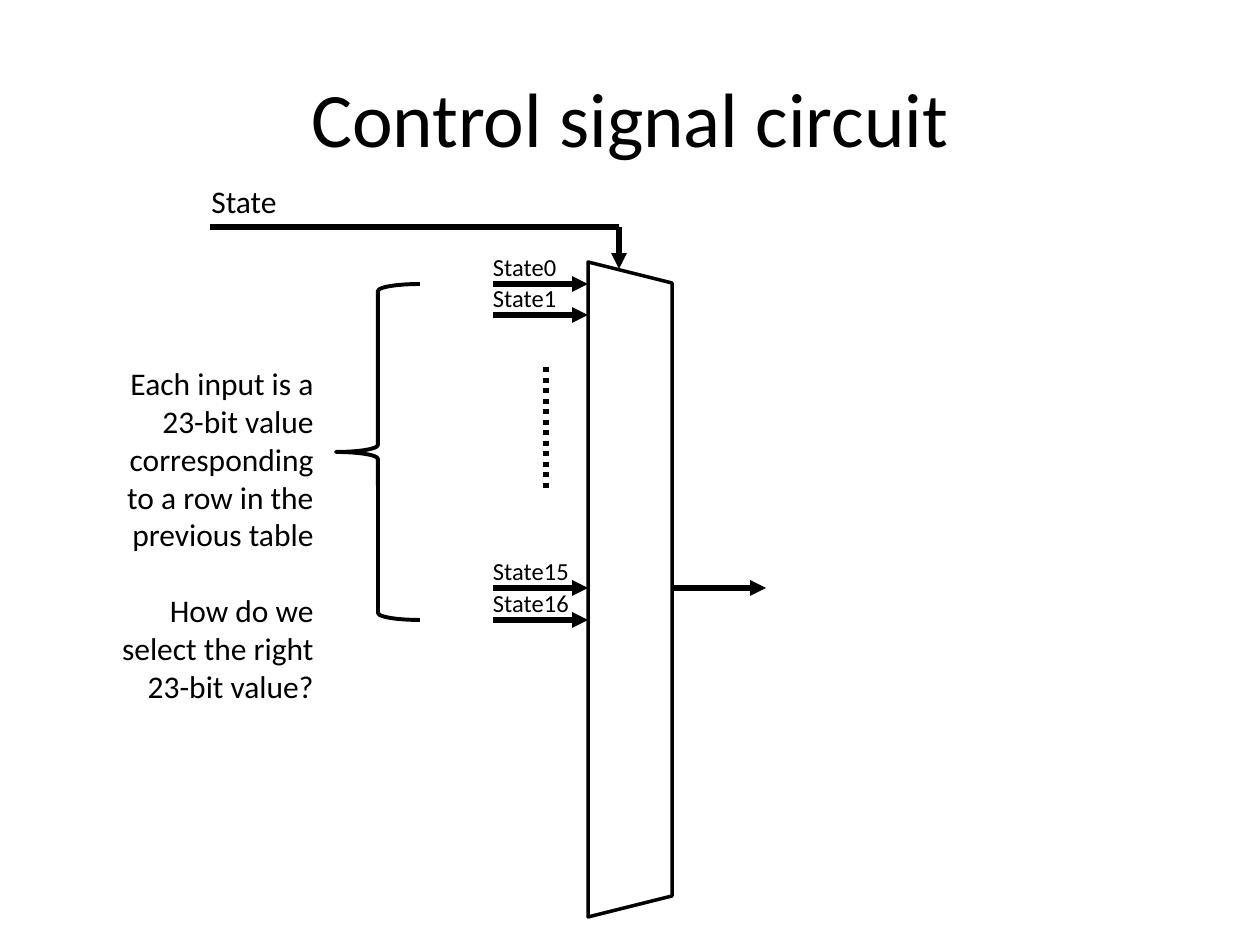
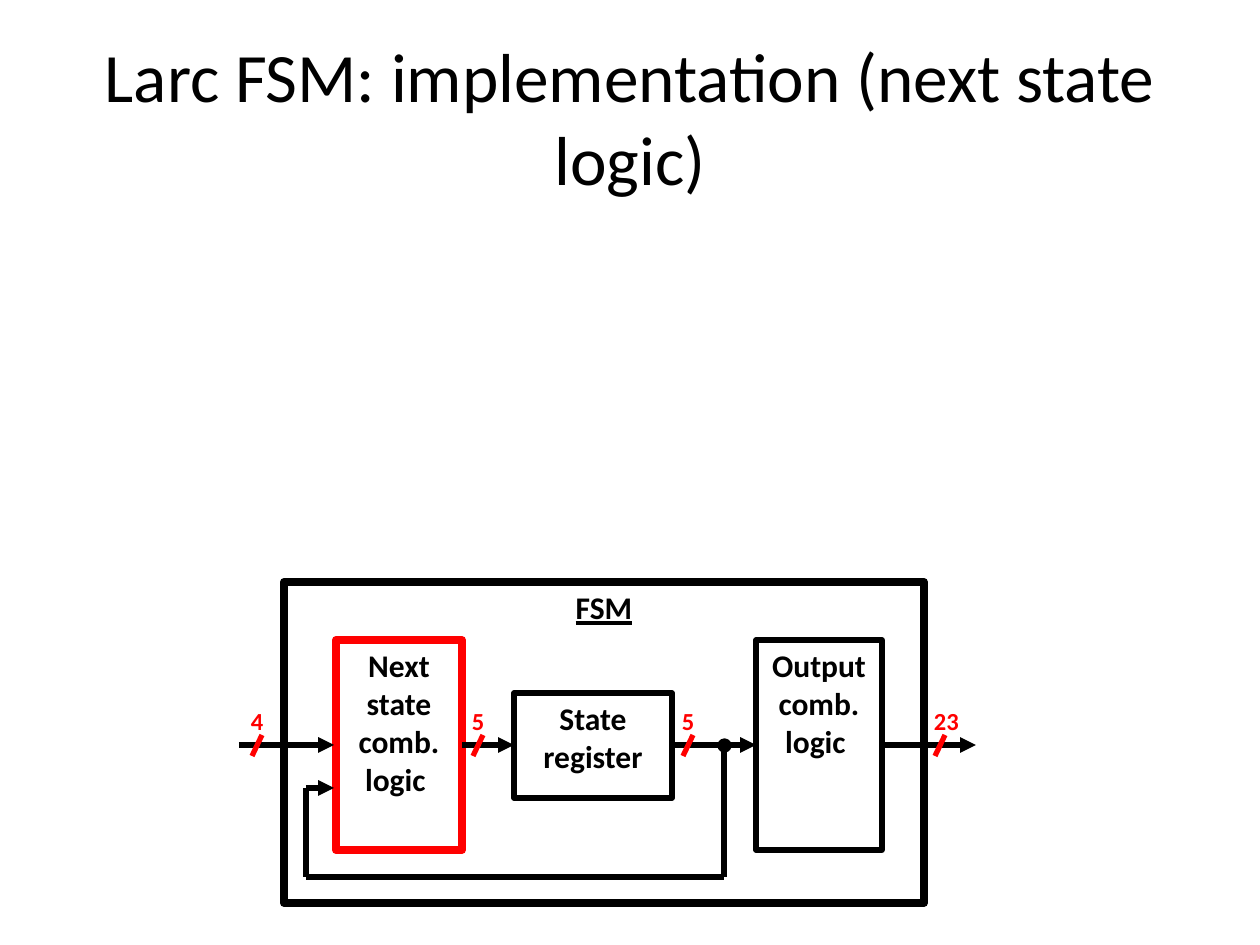
"""Builds two slides: the control signal multiplexer and the FSM block diagram."""
from lxml import etree
from pptx import Presentation
from pptx import util as u
from pptx.dml.color import RGBColor
from pptx.enum import dml, shapes, text
from pptx.oxml import ns

FONT = "Calibri"
BLACK, RED = "000000", "FF0000"
EMU_PER_PX = 914400 / 126
SLIDE_SIZE = (1260, 945)
TITLE_BOX = (63, 38, 1134, 157)

MUX_TITLE = ("Control signal circuit", 44)
MUX_INPUTS = [("State0", 284), ("State1", 315), ("State15", 588), ("State16", 620)]
MUX_NOTES = [
    "Each input is a 23-bit value corresponding to a row in the previous table",
    "How do we select the right 23-bit value?",
]
INPUT_LEFT, MUX_LEFT, MUX_RIGHT, OUTPUT_RIGHT = 493, 588, 672, 766
MUX_TOP, MUX_HEIGHT = 262, 655
SELECT_X, SELECT_Y = 619, 227

FSM_TITLE = ("Larc FSM: implementation (next state logic)", 39.6)
FSM_BLOCKS = [
    ("FSM", (284, 582, 640, 321), BLACK, 4.5, True),
    ("Next state comb. logic ", (336, 640, 126, 210), RED, 4.5, False),
    ("Output comb. logic ", (756, 640, 126, 210), BLACK, 3, False),
    ("State register", (514, 693, 158, 105), BLACK, 3, False),
]
BUS_Y = 745
BUS_WIRES = [
    ("4", 239, 334, 262),
    ("5", 462, 514, 483),
    ("5", 672, 756, 693),
    ("23", 882, 976, 945),
]
FEEDBACK_PATH = [(724, BUS_Y), (724, 877), (306, 877), (306, 788), (334, 788)]


def px(*lengths):
    """Turn pixel lengths into a list of EMU lengths."""
    return [u.Emu(round(length * EMU_PER_PX)) for length in lengths]


def color(hex_string):
    """Return the colour for a hex string."""
    return RGBColor.from_string(hex_string)


def write(paragraph, words, size, hex_string=BLACK, bold=False, underline=False):
    """Add one formatted run to a paragraph."""
    run = paragraph.add_run()
    run.text = words
    font = run.font
    font.name, font.size, font.bold, font.underline = FONT, u.Pt(size), bold, underline
    font.color.rgb = color(hex_string)


def add_titled_slide(presentation, words, size):
    """Add a slide with a centred title."""
    slide = presentation.slides.add_slide(presentation.slide_layouts[5])
    title = slide.shapes.title
    title.left, title.top, title.width, title.height = px(*TITLE_BOX)
    frame = title.text_frame
    frame.auto_size = text.MSO_AUTO_SIZE.NONE
    frame.vertical_anchor = text.MSO_ANCHOR.MIDDLE
    paragraph = frame.paragraphs[0]
    paragraph.alignment = text.PP_ALIGN.CENTER
    write(paragraph, words, size)
    return slide


def add_outline(slide, kind, box, hex_string=BLACK, width=3):
    """Add an unfilled preset shape."""
    shape = slide.shapes.add_shape(kind, *px(*box))
    shape.shadow.inherit = False
    shape.fill.background()
    shape.line.color.rgb = color(hex_string)
    shape.line.width = u.Pt(width)
    return shape


def add_line(slide, start, end, hex_string=BLACK, arrow=False, dash=None):
    """Add a straight line, with an arrowhead at its end if wanted."""
    connector = slide.shapes.add_connector(shapes.MSO_CONNECTOR.STRAIGHT, *px(*start, *end))
    line = connector.line
    line.color.rgb = color(hex_string)
    line.width = u.Pt(3)
    if dash:
        line.dash_style = dash
    properties = connector._element.spPr
    if arrow:
        etree.SubElement(properties.find(ns.qn("a:ln")), ns.qn("a:tailEnd"), type="triangle")
    etree.SubElement(properties, ns.qn("a:effectLst"))


def add_text(slide, box, paragraphs, size, hex_string=BLACK, bold=False,
             inset=True, wrap=False, alignment=text.PP_ALIGN.LEFT):
    """Add a text box whose paragraphs stand one line apart."""
    frame = slide.shapes.add_textbox(*px(*box)).text_frame
    frame.word_wrap = wrap
    frame.auto_size = text.MSO_AUTO_SIZE.SHAPE_TO_FIT_TEXT
    if not inset:
        frame.margin_left = frame.margin_top = frame.margin_right = frame.margin_bottom = 0
    for index, words in enumerate(paragraphs):
        paragraph = frame.add_paragraph() if index else frame.paragraphs[0]
        paragraph.alignment = alignment
        if index:
            paragraph.space_before = px(38)[0]
        write(paragraph, words, size, hex_string, bold)


def build_mux_slide(presentation):
    """Draw the multiplexer with its inputs, selector and output."""
    slide = add_titled_slide(presentation, *MUX_TITLE)
    mux_width = MUX_RIGHT - MUX_LEFT
    turned_left = (MUX_LEFT + MUX_RIGHT - MUX_HEIGHT) / 2
    turned_top = MUX_TOP + (MUX_HEIGHT - mux_width) / 2
    mux = add_outline(slide, shapes.MSO_SHAPE.TRAPEZOID,
                      (turned_left, turned_top, MUX_HEIGHT, mux_width), width=2)
    mux.rotation = 90
    for label, y in MUX_INPUTS:
        add_line(slide, (INPUT_LEFT, y), (MUX_LEFT, y), arrow=True)
        add_text(slide, (INPUT_LEFT, y - 32, 11 * len(label), 30), [label], 14, inset=False)
    add_line(slide, (MUX_RIGHT, 588), (OUTPUT_RIGHT, 588), arrow=True)
    add_line(slide, (546, 367), (546, 493), dash=dml.MSO_LINE.ROUND_DOT)
    add_line(slide, (210, SELECT_Y), (SELECT_X, SELECT_Y))
    add_line(slide, (SELECT_X, SELECT_Y), (SELECT_X, 269), arrow=True)
    add_text(slide, (199, 176, 91, 50), ["State"], 18)
    first_y, last_y = MUX_INPUTS[0][1], MUX_INPUTS[-1][1]
    add_outline(slide, shapes.MSO_SHAPE.LEFT_BRACE,
                (336, first_y, 84, last_y - first_y), width=2.25)
    add_text(slide, (96, 358, 230, 357), MUX_NOTES, 18, wrap=True,
             alignment=text.PP_ALIGN.RIGHT)


def build_fsm_slide(presentation):
    """Draw the state machine blocks, the bus and the feedback path."""
    slide = add_titled_slide(presentation, *FSM_TITLE)
    for words, box, hex_string, width, underline in FSM_BLOCKS:
        block = add_outline(slide, shapes.MSO_SHAPE.RECTANGLE, box, hex_string, width)
        frame = block.text_frame
        frame.word_wrap = True
        frame.vertical_anchor = text.MSO_ANCHOR.TOP
        paragraph = frame.paragraphs[0]
        paragraph.alignment = text.PP_ALIGN.CENTER
        write(paragraph, words, 18, bold=True, underline=underline)
    for bits, left, right, tick in BUS_WIRES:
        add_line(slide, (left, BUS_Y), (right, BUS_Y), arrow=True)
        add_line(slide, (tick, BUS_Y - 10), (tick - 10, BUS_Y + 11), RED)
        add_text(slide, (tick - 11, BUS_Y - 39, 13 * len(bits), 30), [bits], 14, RED,
                 bold=True, inset=False)
    dot_x, dot_y = FEEDBACK_PATH[0]
    dot = add_outline(slide, shapes.MSO_SHAPE.OVAL, (dot_x - 4, dot_y - 4, 9, 9))
    dot.fill.solid()
    dot.fill.fore_color.rgb = color(BLACK)
    for start, end in zip(FEEDBACK_PATH, FEEDBACK_PATH[1:]):
        add_line(slide, start, end, arrow=end == FEEDBACK_PATH[-1])


def main():
    """Build and save the presentation."""
    presentation = Presentation()
    presentation.slide_width, presentation.slide_height = px(*SLIDE_SIZE)
    build_mux_slide(presentation)
    build_fsm_slide(presentation)
    presentation.save("out.pptx")


if __name__ == "__main__":
    main()
